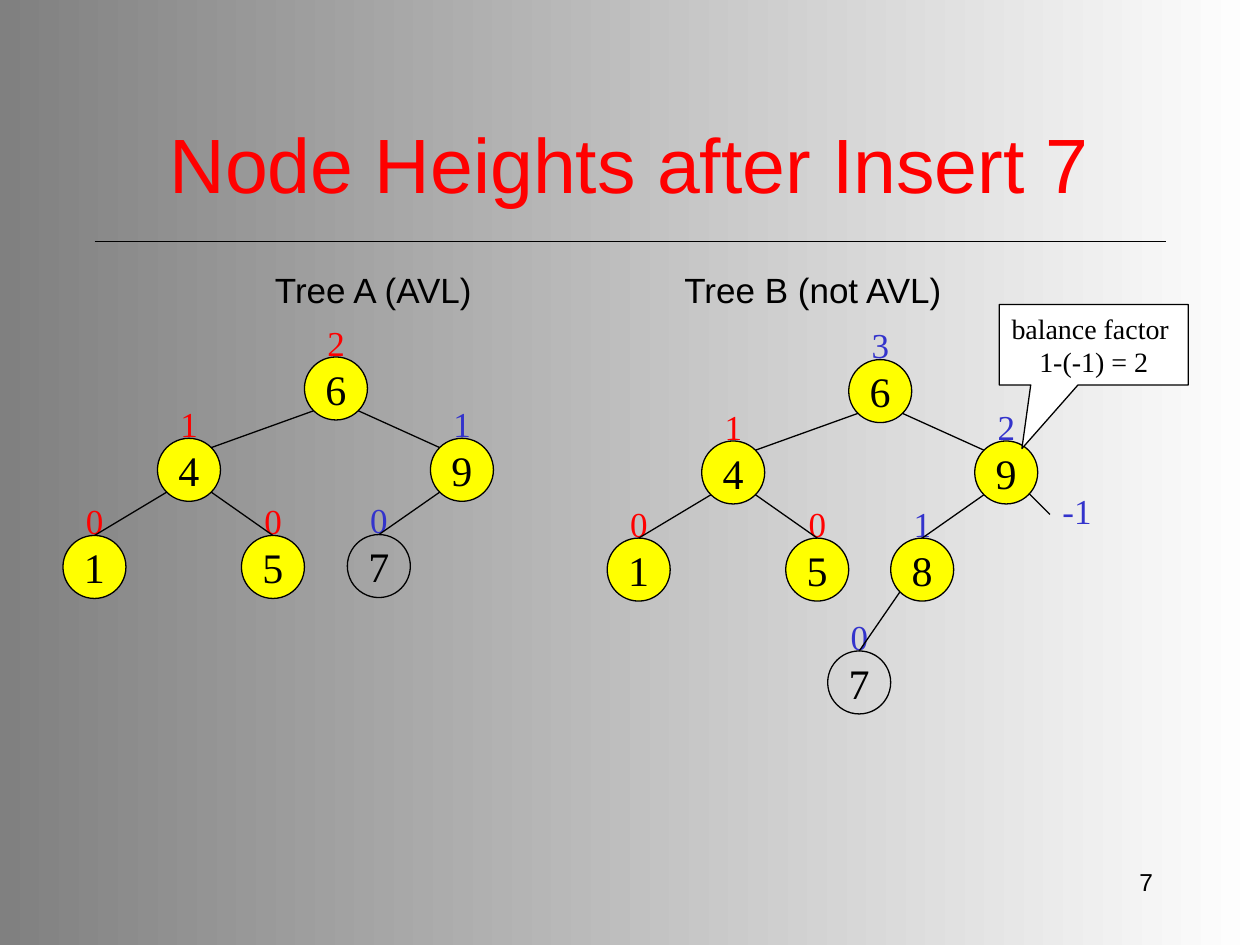
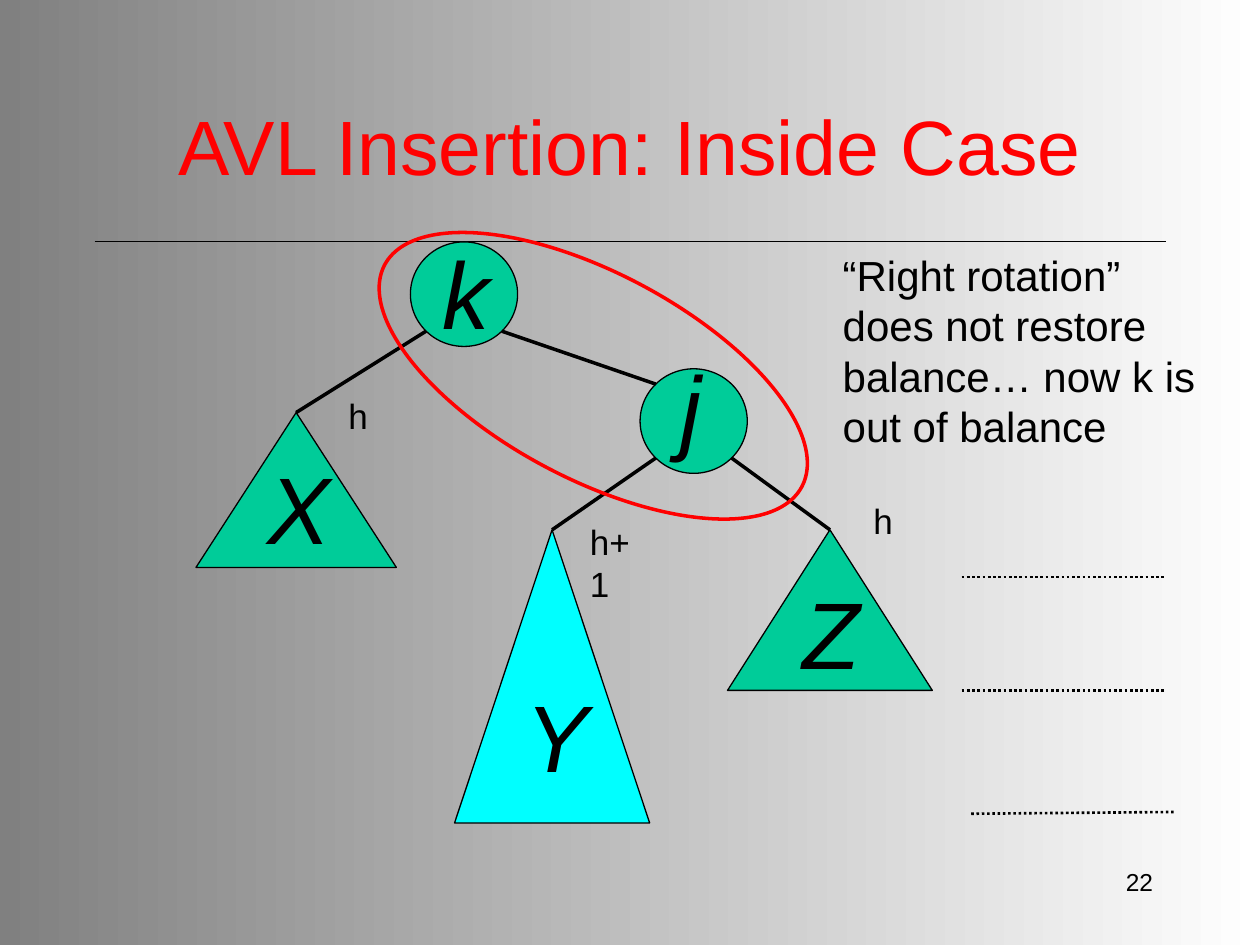
from math import sqrt

from lxml import etree
from pptx import Presentation
from pptx.dml.color import RGBColor
from pptx.enum.dml import MSO_LINE
from pptx.enum.shapes import MSO_CONNECTOR, MSO_SHAPE
from pptx.enum.text import MSO_ANCHOR, PP_ALIGN
from pptx.oxml.ns import qn
from pptx.util import Pt

LEFT, CENTER, RIGHT = PP_ALIGN.LEFT, PP_ALIGN.CENTER, PP_ALIGN.RIGHT
TOP, MIDDLE = MSO_ANCHOR.TOP, MSO_ANCHOR.MIDDLE
OVAL, TRIANGLE = MSO_SHAPE.OVAL, MSO_SHAPE.ISOSCELES_TRIANGLE
CALLOUT = MSO_SHAPE.RECTANGULAR_CALLOUT
STRAIGHT, DOTTED = MSO_CONNECTOR.STRAIGHT, MSO_LINE.ROUND_DOT
SANS, SERIF = "Arial", "Times New Roman"
COLORS = {
    "black": "000000", "white": "FFFFFF", "gray": "808080", "red": "FF0000",
    "blue": "3333CC", "yellow": "FFFF00", "green": "00CC99", "cyan": "00FFFF",
}
RGB = {name: RGBColor.from_string(value) for name, value in COLORS.items()}
DIAGONAL = sqrt(0.5)


def write_text(shape, lines, size, font=SANS, color="black", align=LEFT,
               anchor=TOP, wrap=False, italic=False):
    frame = shape.text_frame
    frame.word_wrap = wrap
    frame.vertical_anchor = anchor
    for index, line in enumerate(lines):
        paragraph = frame.add_paragraph() if index else frame.paragraphs[0]
        paragraph.alignment = align
        run = paragraph.add_run()
        run.text = line
        run.font.size = Pt(size)
        run.font.name = font
        run.font.italic = italic
        run.font.color.rgb = RGB[color]


def draw_line(slide, start, end, width=0.75):
    line = slide.shapes.add_connector(STRAIGHT, *map(Pt, start + end))
    line.line.color.rgb = RGB["black"]
    line.line.width = Pt(width)
    etree.SubElement(line._element.spPr, qn("a:effectLst"))
    return line


presentation = Presentation()
presentation.slide_width, presentation.slide_height = Pt(720), Pt(540)

# Shared background: white at the right, gray at the left
background = presentation.slide_master.background.fill
background.gradient()
background.gradient_angle = 180
for stop, color in zip(background.gradient_stops, ("white", "gray")):
    stop.color.rgb = RGB[color]

# Shared title, rule and slide number
slides = []
for title_text, title_box, number in [
    ("Node Heights after Insert 7", (54, 48, 612, 90), "7"),
    ("AVL Insertion: Inside Case", (52.5, 51, 615, 63.5), "22"),
]:
    slide = presentation.slides.add_slide(presentation.slide_layouts[5])
    title = slide.shapes.title
    title.left, title.top, title.width, title.height = map(Pt, title_box)
    write_text(title, [title_text], 44, color="red", align=CENTER,
               anchor=MIDDLE, wrap=True)
    draw_line(slide, (54, 138), (666, 138))
    number_box = slide.shapes.add_textbox(Pt(516), Pt(492), Pt(150), Pt(36))
    write_text(number_box, [number], 14, align=RIGHT, wrap=True)
    slides.append(slide)
heights_slide, rotation_slide = slides
outlined = []  # shape, fill, line colour, line width

# Node heights: key -> left, top, height, height colour, node fill
NODE = 36
tree_a = {
    "6": (174, 204, "2", "red", "yellow"),
    "4": (90, 250.5, "1", "red", "yellow"),
    "9": (246, 250.5, "1", "blue", "yellow"),
    "1": (36, 306, "0", "red", "yellow"),
    "5": (138, 306, "0", "red", "yellow"),
    "7": (198.5, 305.5, "0", "blue", None),
}
# Tree B repeats the shape of tree A, with other heights on the right branch
tree_b = {key: (left + 311, top + 1.5, *rest)
          for key, (left, top, *rest) in tree_a.items()}
tree_b["6"] = (*tree_b["6"][:2], "3", "blue", "yellow")
tree_b["9"] = (*tree_b["9"][:2], "2", "blue", "yellow")
tree_b["8"] = (509, 307.5, "1", "blue", "yellow")
tree_b["7"] = (473, 372, "0", "blue", None)
shared_edges = ["64", "69", "41", "45"]

for tree, edges in [(tree_a, shared_edges + ["97"]),
                    (tree_b, shared_edges + ["98", "87"])]:
    for left, top, height, color, fill in tree.values():
        label = heights_slide.shapes.add_textbox(
            Pt(left + 6), Pt(top - 24), Pt(24.5), Pt(31.5))
        write_text(label, [height], 20, SERIF, color)
    nodes = {}
    for key, (left, top, height, color, fill) in tree.items():
        node = heights_slide.shapes.add_shape(
            OVAL, Pt(left), Pt(top), Pt(NODE), Pt(NODE))
        write_text(node, [key], 24, SERIF, align=CENTER, anchor=MIDDLE)
        outlined.append((node, fill, "black", 0.75))
        nodes[key] = node
    # Edges leave a parent diagonally; below the second level they end on top
    radius = NODE / 2
    reach = radius * DIAGONAL
    for parent, child in edges:
        x1, y1 = (value + radius for value in tree[parent][:2])
        x2, y2 = (value + radius for value in tree[child][:2])
        side = 1 if x2 > x1 else -1
        edge = draw_line(heights_slide, (x1 + side * reach, y1 + reach),
                         (x2 - side * reach, y2 - reach))
        if parent != "6":
            edge.end_connect(nodes[child], 0)

# Missing right child of node 9
draw_line(heights_slide, (588, 282), (600, 294))
missing = heights_slide.shapes.add_textbox(Pt(600), Pt(276), Pt(31), Pt(31.5))
write_text(missing, ["-1"], 20, SERIF, "blue")

# Balance factor callout
callout = heights_slide.shapes.add_shape(
    CALLOUT, Pt(571), Pt(174), Pt(108), Pt(46))
callout.adjustments[0], callout.adjustments[1] = -0.38, 1.29
write_text(callout, ["balance factor ", "1-(-1) = 2"], 16, SERIF,
           align=CENTER, anchor=MIDDLE)
outlined.append((callout, "white", "black", 0.75))

# Tree captions
for caption, left, width in [("Tree A (AVL)", 150, 132),
                             ("Tree B (not AVL)", 384, 180)]:
    caption_box = heights_slide.shapes.add_textbox(
        Pt(left), Pt(150), Pt(width), Pt(31.5))
    write_text(caption_box, [caption], 20, wrap=True)

# Inside case: key -> preset, box, fill, corner of the letter
parts = {
    "j": (OVAL, (365.75, 210.75, 61.25, 59.75), "green", (382, 196)),
    "k": (OVAL, (234.5, 138.25, 61.25, 59.75), "green", (245.5, 131)),
    "X": (TRIANGLE, (112, 235.75, 114.5, 88.5), "green", (145.5, 253.5)),
    "Y": (TRIANGLE, (259.75, 302.75, 111.5, 167.5), "cyan", (293, 384)),
    "Z": (TRIANGLE, (415.75, 302.75, 117, 91.75), "green", (451.5, 325)),
}
shapes = {}
for key, (preset, box, fill, corner) in parts.items():
    shapes[key] = rotation_slide.shapes.add_shape(preset, *map(Pt, box))
    outlined.append((shapes[key], fill, "black", 0.75))

for parent, child in ["kX", "kj", "jY", "jZ"]:
    left, top, width, height = parts[parent][1]
    child_left, child_top, child_width, child_height = parts[child][1]
    reach_x, reach_y = width / 2 * DIAGONAL, height / 2 * DIAGONAL
    child_x = child_left + child_width / 2
    side = 1 if child_x > left + width / 2 else -1
    start = (left + width / 2 + side * reach_x, top + height / 2 + reach_y)
    end = (child_x - side * reach_x, child_top + child_height / 2 - reach_y)
    edge = draw_line(rotation_slide, start, end, 2)
    if child != "j":
        edge.end_connect(shapes[child], 0)

for key, (preset, box, fill, (left, top)) in parts.items():
    letter = rotation_slide.shapes.add_textbox(
        Pt(left), Pt(top), Pt(37.5), Pt(72))
    write_text(letter, [key], 54, wrap=True, italic=True)

# Dotted level marks
for start, end in [((549.5, 394.5), (666.5, 394.5)),
                   ((549.5, 329.75), (666.5, 329.75)),
                   ((555, 465), (672, 464))]:
    draw_line(rotation_slide, start, end, 1.5).line.dash_style = DOTTED

# Ring around the unbalanced pair
ring = rotation_slide.shapes.add_shape(
    OVAL, Pt(204), Pt(156), Pt(270), Pt(117.5))
ring.rotation = 28
outlined.append((ring, None, "red", 2))

# Remark and subtree heights
remark = ["“Right rotation”", "does not restore", "balance… now k is",
          "out of balance"]
for lines, size, box in [
    (remark, 24, (474.5, 139, 216, 122.5)),
    (["h"], 20, (492, 282, 26, 31.5)),
    (["h+1"], 20, (330, 294, 48, 31.5)),
    (["h"], 20, (192, 222, 25.5, 31.5)),
]:
    text_box = rotation_slide.shapes.add_textbox(*map(Pt, box))
    write_text(text_box, lines, size)

# Fill and outline of every preset shape
for shape, fill, line_color, line_width in outlined:
    shape.shadow.inherit = False
    if fill:
        shape.fill.solid()
        shape.fill.fore_color.rgb = RGB[fill]
    else:
        shape.fill.background()
    shape.line.color.rgb = RGB[line_color]
    shape.line.width = Pt(line_width)

presentation.save("out.pptx")
